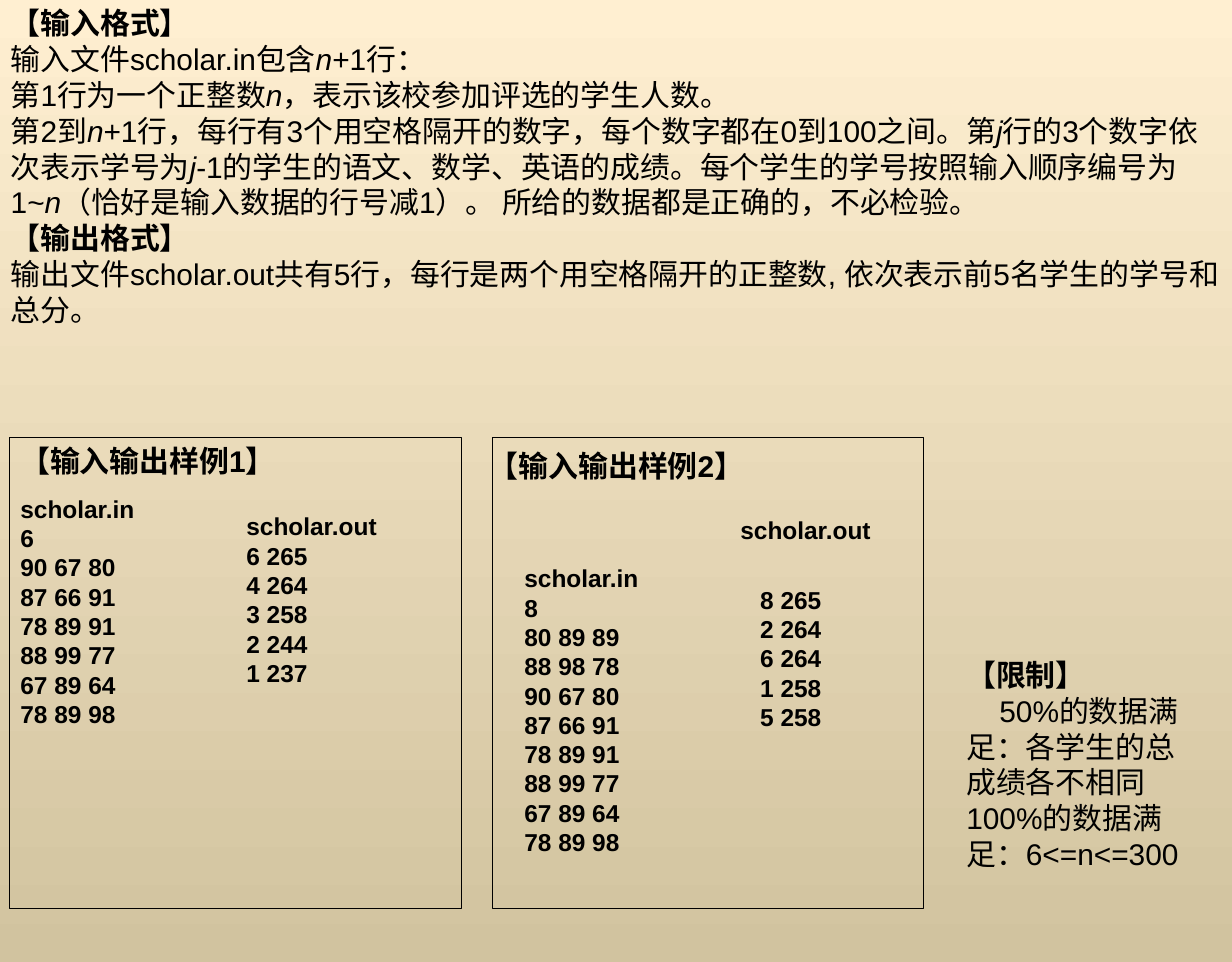
from pptx import Presentation
from pptx.dml.color import RGBColor
from pptx.enum.shapes import MSO_SHAPE as Shape
from pptx.enum.text import MSO_ANCHOR as Anchor, MSO_AUTO_SIZE as AutoSize, PP_ALIGN as Align
from pptx.util import Cm, Pt

BLACK = "000000"
HEADING, SAMPLE = 22, 18

STATEMENT = [
    "【输入格式】",
    "输入文件scholar.in包含*n*+1行：",
    "第1行为一个正整数*n*，表示该校参加评选的学生人数。",
    "第2到*n*+1行，每行有3个用空格隔开的数字，每个数字都在0到100之间。"
    "第*j*行的3个数字依次表示学号为*j*-1的学生的语文、数学、英语的成绩。"
    "每个学生的学号按照输入顺序编号为1~*n*（恰好是输入数据的行号减1）。 "
    "所给的数据都是正确的，不必检验。",
    "【输出格式】",
    "输出文件scholar.out共有5行，每行是两个用空格隔开的正整数, 依次表示前5名学生的学号和总分。",
]
LIMITS = ["【限制】", "50%的数据满足：各学生的总成绩各不相同", "100%的数据满足：6<=n<=300"]

SHARED_SCORES = ["90 67 80", "87 66 91", "78 89 91", "88 99 77", "67 89 64", "78 89 98"]
INPUT_1 = ["scholar.in", "6", *SHARED_SCORES]
OUTPUT_1 = ["scholar.out", "6 265", "4 264", "3 258", "2 244", "1 237"]
INPUT_2 = ["scholar.in", "8", "80 89 89", "88 98 78", *SHARED_SCORES]
OUTPUT_2 = ["8 265", "2 264", "6 264", "1 258", "5 258"]


def color(value):
    return RGBColor.from_string(value)


def add_text(page, box, lines, size=SAMPLE, anchor=Anchor.TOP, align=Align.LEFT):
    """Add one paragraph per line; words between asterisks are italic, 【】 lines bold."""
    frame = page.shapes.add_textbox(*map(Cm, box)).text_frame
    frame.word_wrap = True
    frame.auto_size = AutoSize.SHAPE_TO_FIT_TEXT
    frame.vertical_anchor = anchor
    frame.margin_left, frame.margin_right = Cm(0.28), Cm(0.2)
    frame.margin_top = frame.margin_bottom = Cm(0.13)
    for index, line in enumerate(lines):
        para = frame.add_paragraph() if index else frame.paragraphs[0]
        para.alignment = align
        para._p.get_or_add_pPr().set("hangingPunct", "0")
        font = para.font
        font.name, font.size = "Arial", Pt(size)
        font.bold = size == SAMPLE or line.startswith("【")
        font.color.rgb = color(BLACK)
        for part, words in enumerate(line.split("*")):
            span = para.add_run()
            span.text = words
            if part % 2:
                span.font.italic = True
    return frame.paragraphs


def add_panel(page, box):
    panel = page.shapes.add_shape(Shape.RECTANGLE, *map(Cm, box))
    panel.shadow.inherit = False
    panel.fill.background()
    panel.line.color.rgb = color(BLACK)
    panel.line.width = Pt(0.75)


def add_first_sample(page, box):
    left, top = box[:2]
    add_panel(page, box)
    paras = add_text(page, (left, top, 7.3, 8.64), ["【输入输出样例1】", *INPUT_1])
    paras[0].font.size = Pt(HEADING)
    paras[1].space_before = Pt(11.2)
    add_text(page, (left + 5.87, top + 1.78, 7.75, 4.85), OUTPUT_1)


def add_second_sample(page, box):
    left, top = box[:2]
    middle = Anchor.MIDDLE
    add_panel(page, box)
    add_text(page, (left - 0.38, top + 0.13, 8.5, 1.19), ["【输入输出样例2】"], HEADING, middle)
    add_text(page, (left + 0.54, top + 3.12, 5.59, 7.9), INPUT_2, anchor=middle)
    add_text(page, (left + 6.15, top + 1.88, 4.5, 1.04), ["scholar.out"], anchor=middle)
    add_text(page, (left + 6.2, top + 3.68, 3, 4.09), OUTPUT_2, anchor=middle, align=Align.CENTER)


def add_limits(page, box):
    paras = add_text(page, box, LIMITS, HEADING, Anchor.MIDDLE)
    paras[1]._p.get_or_add_pPr().set("indent", str(Cm(0.86)))


def paint_background(page):
    fill = page.background.fill
    fill.gradient()
    fill.gradient_angle = 270
    for stop, shade in zip(fill.gradient_stops, ("FFEFD1", "D1C39F")):
        stop.color.rgb = color(shade)


def main():
    deck = Presentation()
    deck.slide_width, deck.slide_height = Cm(32), Cm(25)
    page = deck.slides.add_slide(deck.slide_layouts[6])
    paint_background(page)
    add_text(page, (0, 0, 32, 8.66), STATEMENT, HEADING)
    add_first_sample(page, (0.25, 11.38, 11.73, 12.22))
    add_second_sample(page, (12.8, 11.38, 11.2, 12.22))
    add_limits(page, (24.82, 16.92, 6.65, 5.87))
    deck.save("out.pptx")


if __name__ == "__main__":
    main()
